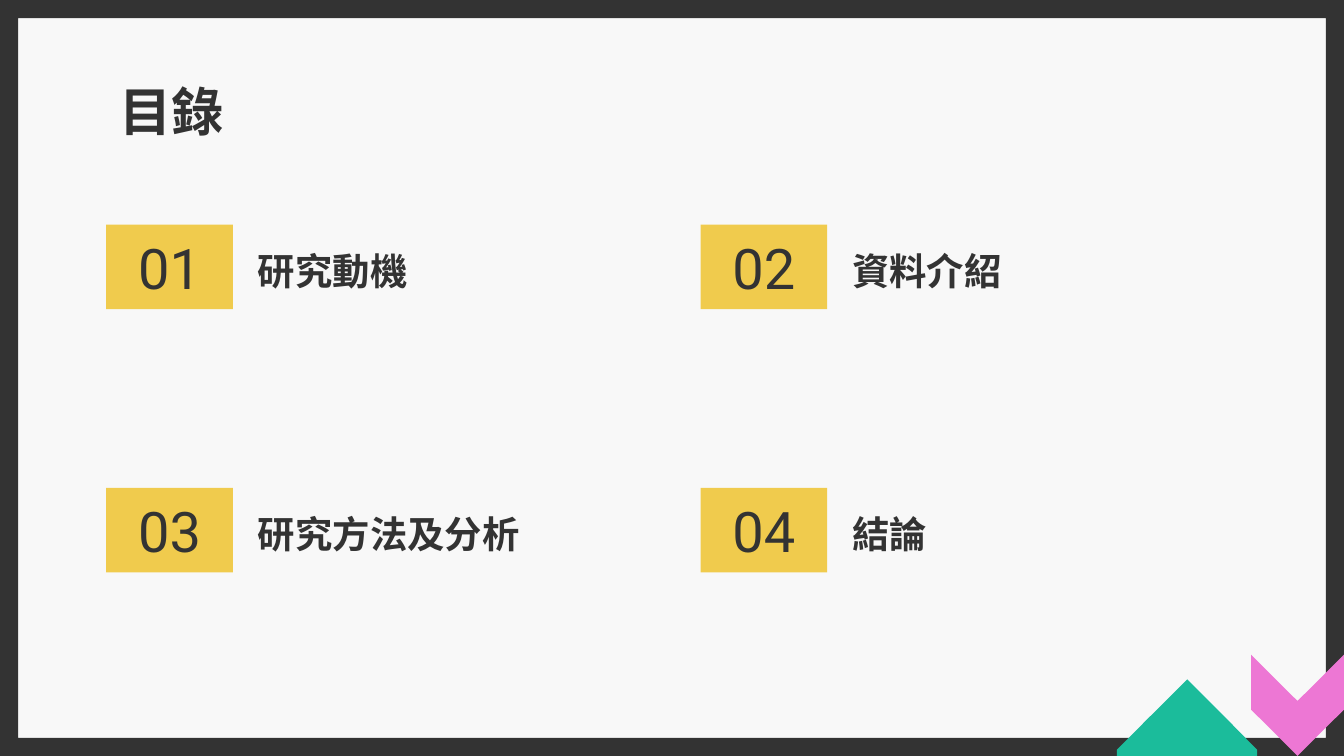
from lxml import etree
from pptx import Presentation
from pptx.dml.color import RGBColor
from pptx.enum.shapes import MSO_SHAPE
from pptx.enum.text import MSO_ANCHOR, PP_ALIGN
from pptx.oxml.ns import qn
from pptx.util import Pt

FRAME, RECTANGLE = MSO_SHAPE.FRAME, MSO_SHAPE.RECTANGLE
TOP, MIDDLE = MSO_ANCHOR.TOP, MSO_ANCHOR.MIDDLE
LEFT, CENTER = PP_ALIGN.LEFT, PP_ALIGN.CENTER

WIDTH, HEIGHT = 720, 405
DARK, LIGHT, YELLOW = "333333", "F8F8F8", "F0CB4D"
GREEN, PINK = "1BBC9B", "ED77D4"
COLUMNS = (56.9, 375.3)
ROWS = (120.3, 261.4)
BADGE_WIDTH, BADGE_HEIGHT = 67.9, 45.3
NUMBER_WIDTH = 56.9
TOPIC_OFFSET, TOPIC_WIDTH, TOPIC_HEIGHT = 74.2, 213.8, 67
TOPICS = ("研究動機", "資料介紹", "研究方法及分析", "結論")

GREEN_ARROW = [(658, 386), (636, 364), (614, 386), (598.3, 401.7),
               (598.3, 405), (673.4, 405), (673.4, 401.7)]
PINK_CHEVRON = [(695.1, 375.6), (670.2, 350.8), (670.2, 380.2), (680.4, 390.3),
                (695.1, 405), (709.8, 390.3), (720, 380.2), (720, 350.8)]


def paint(shape, color):
    """Give a shape a plain fill without line or shadow."""
    shape.shadow.inherit = False
    shape.fill.solid()
    shape.fill.fore_color.rgb = RGBColor.from_string(color)
    shape.line.fill.background()


def add_block(slide, kind, left, top, width, height, color):
    """Add a filled preset shape."""
    shape = slide.shapes.add_shape(kind, Pt(left), Pt(top), Pt(width), Pt(height))
    paint(shape, color)
    return shape


def add_polygon(slide, points, color):
    """Add a filled closed outline through the given points."""
    corners = [(Pt(x), Pt(y)) for x, y in points]
    builder = slide.shapes.build_freeform(*corners[0])
    builder.add_line_segments(corners[1:], close=True)
    paint(builder.convert_to_shape(), color)


def add_text(slide, text, left, top, width, height, size, font_name="Arial",
             bold=True, anchor=MIDDLE, alignment=LEFT, line_spacing=1.0):
    """Add a one-run text box in the dark colour."""
    shape = slide.shapes.add_textbox(Pt(left), Pt(top), Pt(width), Pt(height))
    frame = shape.text_frame
    frame.word_wrap = True
    frame.vertical_anchor = anchor
    frame.margin_left = frame.margin_right = Pt(7.2)
    frame.margin_top = frame.margin_bottom = Pt(7.2)
    paragraph = frame.paragraphs[0]
    paragraph.alignment = alignment
    paragraph.line_spacing = line_spacing
    run = paragraph.add_run()
    run.text = text
    font = run.font
    font.size, font.bold, font.name = Pt(size), bold, font_name
    font.color.rgb = RGBColor.from_string(DARK)
    east_asian = etree.SubElement(run._r.get_or_add_rPr(), qn("a:ea"))
    east_asian.set("typeface", font_name)


def add_topic(slide, index, topic):
    """Add a numbered badge and its topic at its place in the grid."""
    row, column = divmod(index, len(COLUMNS))
    left, top = COLUMNS[column], ROWS[row]
    add_block(slide, RECTANGLE, left, top, BADGE_WIDTH, BADGE_HEIGHT, YELLOW)
    add_text(slide, f"{index + 1:02d}", left + (BADGE_WIDTH - NUMBER_WIDTH) / 2, top,
             NUMBER_WIDTH, BADGE_HEIGHT, 30, "Roboto", bold=False, alignment=CENTER)
    add_text(slide, topic, left + TOPIC_OFFSET, top + (BADGE_HEIGHT - TOPIC_HEIGHT) / 2,
             TOPIC_WIDTH, TOPIC_HEIGHT, 20, line_spacing=1.15)


def main():
    """Build the table of contents slide."""
    presentation = Presentation()
    presentation.slide_width, presentation.slide_height = Pt(WIDTH), Pt(HEIGHT)
    slide = presentation.slides.add_slide(presentation.slide_layouts[6])
    slide.background.fill.solid()
    slide.background.fill.fore_color.rgb = RGBColor.from_string(LIGHT)

    border = add_block(slide, FRAME, 0, 0, WIDTH, HEIGHT, DARK)
    border.adjustments[0] = 0.024
    add_polygon(slide, GREEN_ARROW, GREEN)
    add_polygon(slide, PINK_CHEVRON, PINK)

    add_text(slide, "目錄", COLUMNS[0], 35.3, 607, 48.2, 28, anchor=TOP)
    for index, topic in enumerate(TOPICS):
        add_topic(slide, index, topic)
    presentation.save("out.pptx")


if __name__ == "__main__":
    main()
